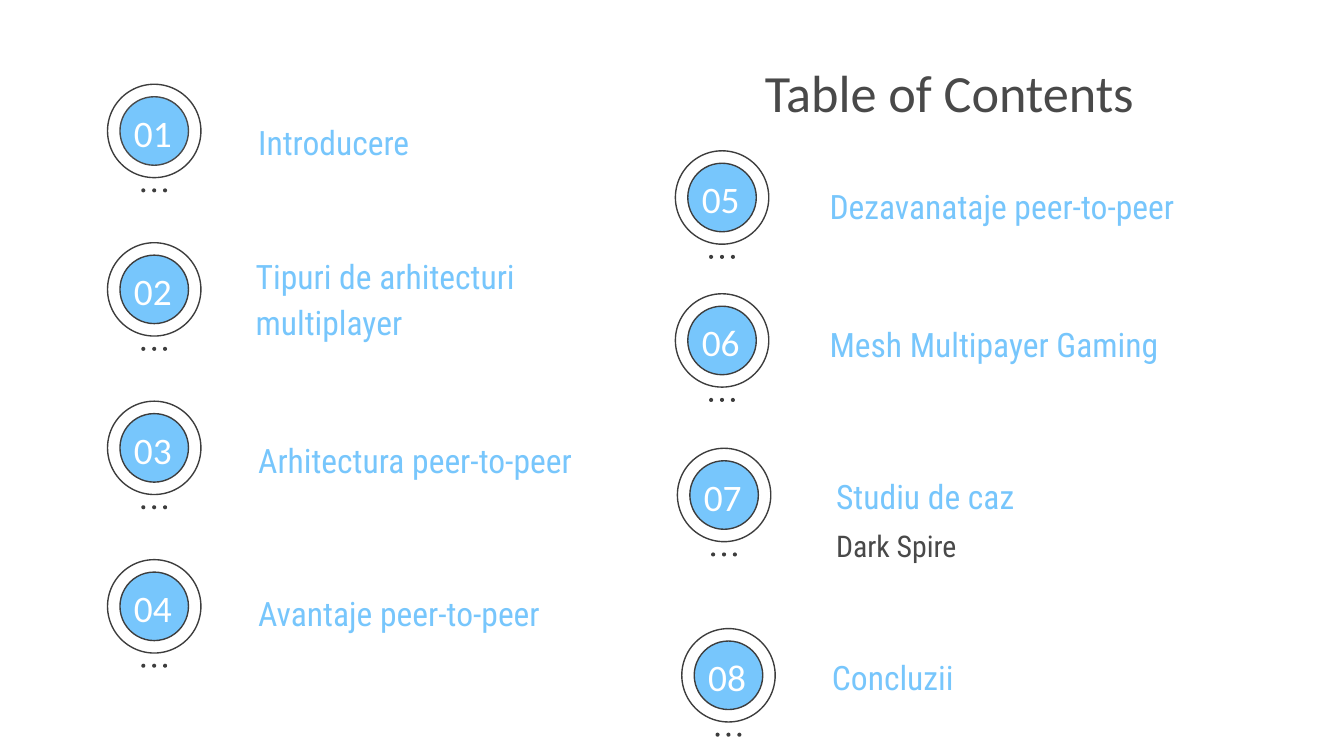
"""Table of contents slide with eight numbered badges."""
from typing import NamedTuple

from pptx import Presentation
from pptx.dml.color import RGBColor as RGB
from pptx.enum.shapes import MSO_SHAPE as Geo
from pptx.enum.text import MSO_ANCHOR as Anchor, PP_ALIGN as Align
from pptx.shapes.group import GroupShape as Group
from pptx.slide import Slide
from pptx.util import Inches, Pt

WIDTH = 10
HEIGHT = WIDTH * 9 / 16
BLUE, DARK, GREY, WHITE = "77C6FC", "3D3D3D", "494949", "FFFFFF"
SANS, SLIM = "Calibri", "Roboto Condensed"
RING, DISC, DOT, PITCH = 6.95, 5.1, 0.3, 0.81
TOP, STEP = 6.27, 11.79


class Item(NamedTuple):
    """One entry: badge corner and label corner, in percent of slide width."""
    left: float
    top: float
    text_x: float
    text_y: float
    text: str
    rim: str = DARK


LEFT = [
    Item(8, TOP, 18.23, 7.6, "Introducere", GREY),
    Item(8, TOP + STEP, 18.04, 17.6, "Tipuri de arhitecturi multiplayer"),
    Item(8, TOP + 2 * STEP, 18.23, 31.3, "Arhitectura peer-to-peer"),
    Item(8, TOP + 3 * STEP, 18.23, 42.64, "Avantaje peer-to-peer"),
]
RIGHT = [
    Item(50.25, 11.22, 60.74, 12.4, "Dezavanataje peer-to-peer"),
    Item(50.25, 21.86, 60.74, 22.64, "Mesh Multipayer Gaming"),
    Item(50.4, 33.36, 61.23, 33.94, "Studiu de caz"),
    Item(50.73, 46.77, 60.92, 47.44, "Concluzii"),
]


def size(share: float) -> int:
    """Turn a percentage of the slide width into a length."""
    return Inches(WIDTH * share / 100)


def color(code: str) -> RGB:
    """Turn a hex string into a colour."""
    return RGB.from_string(code)


def disc(group: Group, mid_x: float, mid_y: float, span: float,
         fill: str, rim: str = "") -> None:
    """Draw a circle around a centre, with a rim if one is given."""
    box = map(size, (mid_x - span / 2, mid_y - span / 2, span, span))
    shape = group.shapes.add_shape(Geo.OVAL, *box)
    shape.shadow.inherit = False
    shape.fill.solid()
    shape.fill.fore_color.rgb = color(fill)
    if rim:
        shape.line.color.rgb = color(rim)
        shape.line.width = Pt(0.75)
    else:
        shape.line.fill.background()


def write(slide: Slide, text: str, left: float, top: float, width: float,
          height: float, *, points: float = 18, font: str = SLIM,
          ink: str = BLUE, align: Align = Align.LEFT,
          anchor: Anchor = Anchor.TOP, space: float = 1) -> None:
    """Write one paragraph of text in a box."""
    box = slide.shapes.add_textbox(*map(size, (left, top, width, height)))
    frame = box.text_frame
    frame.word_wrap = True
    frame.vertical_anchor = anchor
    frame.margin_left = frame.margin_right = size(1)
    frame.margin_top = frame.margin_bottom = size(1)
    para = frame.paragraphs[0]
    para.alignment, para.line_spacing = align, space
    run = para.add_run()
    run.text = text
    run.font.name, run.font.size = font, Pt(points)
    run.font.color.rgb = color(ink)


def badge(slide: Slide, item: Item, number: int) -> None:
    """Draw the ring, disc, three dots and number of an entry."""
    group = slide.shapes.add_group_shape()
    mid_x, mid_y = item.left + RING / 2, item.top + RING / 2
    disc(group, mid_x, mid_y, RING, WHITE, DARK)
    disc(group, mid_x, mid_y, DISC, BLUE, item.rim)
    for step in (-1, 0, 1):
        disc(group, mid_x + step * PITCH, item.top + 7.9, DOT, DARK)
    write(slide, f"{number:02}", item.left + 0.88, item.top + 1.67, 5, 3.8,
          points=20, font=SANS, ink=WHITE, align=Align.CENTER,
          anchor=Anchor.MIDDLE)


def main() -> None:
    """Build and save the slide."""
    deck = Presentation()
    deck.slide_width, deck.slide_height = Inches(WIDTH), Inches(HEIGHT)
    slide = deck.slides.add_slide(deck.slide_layouts[6])
    write(slide, "Table of Contents", 52.58, 1.2, 36.1, 11.2, points=28,
          font=SANS, ink=GREY, align=Align.CENTER, anchor=Anchor.MIDDLE)
    for number, item in enumerate(LEFT + RIGHT, 1):
        badge(slide, item, number)
        write(slide, item.text, item.text_x, item.text_y, 28.6, 4.2,
              space=1.15)
    write(slide, "Dark Spire", 61.23, 38.24, 28.6, 6.3, points=16, ink=GREY)
    deck.save("out.pptx")


if __name__ == "__main__":
    main()
